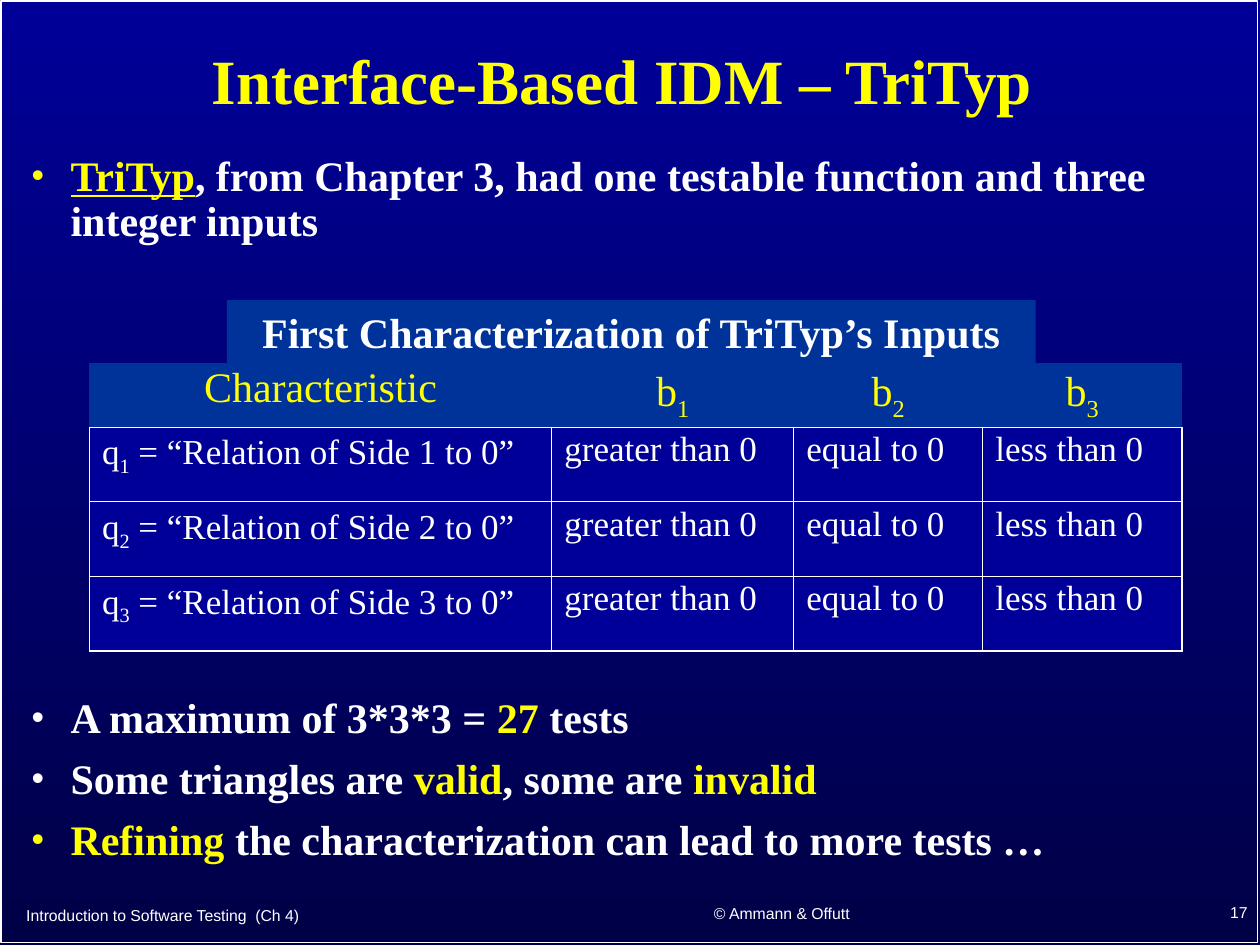
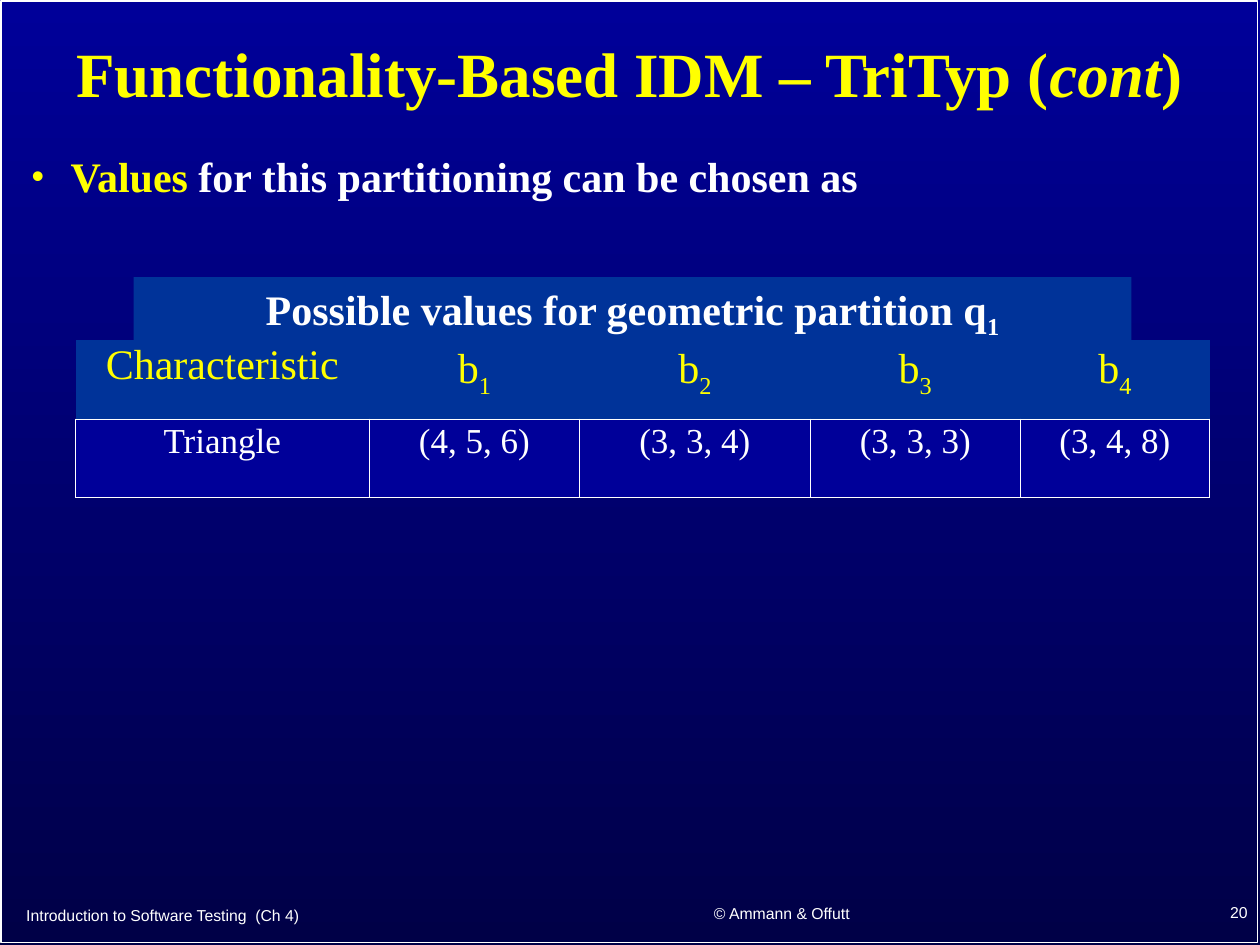
"""Build two lecture slides on input domain modelling for TriTyp."""
from dataclasses import dataclass, replace

from lxml import etree
from pptx import Presentation
from pptx.dml.color import RGBColor
from pptx.enum.shapes import MSO_SHAPE
from pptx.enum.text import MSO_ANCHOR, MSO_AUTO_SIZE, PP_ALIGN
from pptx.oxml.ns import qn
from pptx.util import Emu, Inches, Pt

LEFT, CENTER, RIGHT = PP_ALIGN.LEFT, PP_ALIGN.CENTER, PP_ALIGN.RIGHT
TOP, MIDDLE = MSO_ANCHOR.TOP, MSO_ANCHOR.MIDDLE
FIXED = MSO_AUTO_SIZE.NONE
RECTANGLE = MSO_SHAPE.RECTANGLE
ONE_LIST, TWO_LISTS = 1, 3
COLUMNS = 100
SLIDE_WIDTH, SLIDE_HEIGHT = Inches(10), Inches(7.5)
UNIT = SLIDE_WIDTH / COLUMNS


@dataclass(frozen=True)
class Theme:
    """Colours, fonts and line widths of the deck."""

    white: str = "FFFFFF"
    yellow: str = "FFFF00"
    sky: str = "000099"
    night: str = "000047"
    band: str = "003399"
    serif: str = "Times New Roman"
    sans: str = "Arial"
    title_size: float = 36
    text_size: float = 24
    cell_size: float = 20
    footer_size: float = 9
    frame_line: float = 1
    outer_line: float = 1.08
    inner_line: float = 0.45


THEME = Theme()


@dataclass(frozen=True)
class Box:
    """Place on a grid of 100 columns by 75 rows."""

    left: float
    top: float
    width: float
    height: float

    def emu(self) -> tuple[Emu, ...]:
        """Return the place in slide units."""
        return tuple(map(units, (self.left, self.top, self.width, self.height)))


@dataclass(frozen=True)
class Run:
    """Stretch of text with one look."""

    text: str
    color: str = THEME.white
    underline: bool = False
    italic: bool = False
    lowered: bool = False


@dataclass(frozen=True)
class Style:
    """Look of whole paragraphs."""

    size: float
    font: str = THEME.serif
    bold: bool = False
    align: int = LEFT
    spacing: float = 0.9
    gap: float = 0
    bullet: bool = False


@dataclass(frozen=True)
class Grid:
    """Table with a caption band above it."""

    caption_box: Box
    caption: list[Run]
    left: float
    top: float
    widths: list[float]
    heights: list[float]
    rows: list[list[list[Run]]]
    align: int


@dataclass(frozen=True)
class Page:
    """Content of one slide."""

    number: int
    title_box: Box
    title: list[Run]
    lists: list[tuple[Box, list[list[Run]]]]
    grid: Grid


TITLE = Style(THEME.title_size, bold=True, align=CENTER)
LIST = Style(THEME.text_size, bold=True, gap=9, bullet=True)
CAPTION = Style(THEME.text_size, bold=True, align=CENTER, spacing=1)
HEADER = Style(THEME.text_size, align=CENTER)
CELL = Style(THEME.cell_size)
FOOTER = Style(THEME.footer_size, font=THEME.sans, spacing=1)


def units(cells: float) -> Emu:
    """Convert grid cells to slide units."""
    return Emu(round(cells * UNIT))


def key(text: str, **looks: bool) -> Run:
    """Make a highlighted run."""
    return Run(text, THEME.yellow, **looks)


def indexed(letter: str, index: int, color: str = THEME.white) -> list[Run]:
    """Make a letter with a lowered index."""
    return [Run(letter, color), Run(str(index), color, lowered=True)]


def header(blocks: int) -> list[list[Run]]:
    """Make the heading row for a number of blocks."""
    return [[key("Characteristic")]] + [indexed("b", n + 1, THEME.yellow) for n in range(blocks)]


def add_bullet(p, color: str) -> None:
    """Give a paragraph a coloured round bullet with a hanging indent."""
    pPr = p._p.get_or_add_pPr()
    hang = units(3.1)
    pPr.set("marL", str(hang))
    pPr.set("indent", str(-hang))
    tint = etree.SubElement(pPr, qn("a:buClr"))
    etree.SubElement(tint, qn("a:srgbClr"), val=color)
    etree.SubElement(pPr, qn("a:buSzPct"), val="85000")
    etree.SubElement(pPr, qn("a:buChar"), char="•")


def write(tf, paragraphs: list[list[Run]], style: Style, anchor: int = TOP) -> None:
    """Write paragraphs run by run into a text frame."""
    tf.word_wrap = True
    tf.auto_size = FIXED
    tf.vertical_anchor = anchor
    fill_text(tf, paragraphs, style)


def fill_text(tf, paragraphs: list[list[Run]], style: Style) -> None:
    """Add the formatted runs of every paragraph."""
    for i, runs in enumerate(paragraphs):
        p = tf.add_paragraph() if i else tf.paragraphs[0]
        if style.bullet:
            add_bullet(p, runs[0].color)
        p.alignment = style.align
        p.line_spacing = style.spacing
        p.space_before = Pt(style.gap if i else 0)
        for run in runs:
            r = p.add_run()
            r.text = run.text
            r.font.name = style.font
            r.font.size = Pt(style.size)
            r.font.bold = style.bold
            r.font.italic = run.italic
            r.font.underline = run.underline
            r.font.color.rgb = RGBColor.from_string(run.color)
            if run.lowered:
                r._r.get_or_add_rPr().set("baseline", "-25000")


def place(sp, box: Box) -> None:
    """Move a placeholder to its box."""
    sp.left, sp.top, sp.width, sp.height = box.emu()


def add_backdrop(s) -> None:
    """Paint the graded background and the thin frame."""
    fill = s.background.fill
    fill.gradient()
    fill.gradient_angle = 270
    for stop, color in zip(fill.gradient_stops, (THEME.sky, THEME.night)):
        stop.color.rgb = RGBColor.from_string(color)
    frame = s.shapes.add_shape(RECTANGLE, *Box(0.1, 0.1, 99.7, 74.7).emu())
    frame.shadow.inherit = False
    frame.fill.background()
    frame.line.color.rgb = RGBColor.from_string(THEME.white)
    frame.line.width = Pt(THEME.frame_line)


def add_footers(s, number: int) -> None:
    """Add the course name, the authors and the page number."""
    footers = (
        ("Introduction to Software Testing  (Ch 4)", LEFT, Box(1.1, 70.7, 43.1, 3.8)),
        ("© Ammann & Offutt", CENTER, Box(46.2, 70.5, 31.7, 3.9)),
        (str(number), RIGHT, Box(79.2, 70.4, 20.8, 4)),
    )
    for text, align, box in footers:
        sp = s.shapes.add_textbox(*box.emu())
        write(sp.text_frame, [[Run(text)]], replace(FOOTER, align=align), MIDDLE)


def set_borders(cell, widths: dict[str, float]) -> None:
    """Draw the cell sides that have a width and clear the others."""
    tcPr = cell._tc.get_or_add_tcPr()
    for side in "LRTB":
        width = widths.get(side, 0)
        ln = etree.SubElement(tcPr, qn(f"a:ln{side}"), w=str(Pt(width)))
        if width:
            fill = etree.SubElement(ln, qn("a:solidFill"))
            etree.SubElement(fill, qn("a:srgbClr"), val=THEME.white)
        else:
            etree.SubElement(ln, qn("a:noFill"))


def add_caption(s, grid: Grid) -> None:
    """Add the band with the table's caption."""
    sp = s.shapes.add_shape(RECTANGLE, *grid.caption_box.emu())
    sp.shadow.inherit = False
    sp.fill.solid()
    sp.fill.fore_color.rgb = RGBColor.from_string(THEME.band)
    sp.line.fill.background()
    write(sp.text_frame, [grid.caption], CAPTION)


def add_grid(s, grid: Grid) -> None:
    """Add the table with a plain heading row and ruled cells."""
    box = Box(grid.left, grid.top, sum(grid.widths), sum(grid.heights))
    last_row, last_col = len(grid.heights) - 1, len(grid.widths) - 1
    table = s.shapes.add_table(last_row + 1, last_col + 1, *box.emu()).table
    table.first_row = table.horz_banding = False
    for column, width in zip(table.columns, grid.widths):
        column.width = units(width)
    for row, height in zip(table.rows, grid.heights):
        row.height = units(height)
    inner, outer = THEME.inner_line, THEME.outer_line
    for i, texts in enumerate(grid.rows):
        for j, runs in enumerate(texts):
            cell = table.cell(i, j)
            borders = {"B": inner} if i == 0 else {
                "L": inner if j else outer,
                "R": outer if j == last_col else inner,
                "T": inner,
                "B": outer if i == last_row else inner,
            }
            set_borders(cell, borders)
            cell.fill.solid()
            cell.fill.fore_color.rgb = RGBColor.from_string(THEME.sky if i else THEME.band)
            style = replace(CELL, align=grid.align) if i else HEADER
            fill_text(cell.text_frame, [runs], style)


def add_page(prs, page: Page) -> None:
    """Build one slide from its content."""
    layout = ONE_LIST if len(page.lists) == 1 else TWO_LISTS - 0
    s = prs.slides.add_slide(prs.slide_layouts[layout])
    add_backdrop(s)
    place(s.shapes.title, page.title_box)
    write(s.shapes.title.text_frame, [page.title], TITLE, MIDDLE)
    bodies = [sp for sp in s.placeholders if sp.placeholder_format.idx]
    for sp, (box, items) in zip(bodies, page.lists):
        place(sp, box)
        write(sp.text_frame, items, LIST)
    add_caption(s, page.grid)
    add_grid(s, page.grid)
    add_footers(s, page.number)


INTERFACE = Page(
    17, Box(7.5, 1.1, 85, 11.1), [key("Interface-Based IDM – TriTyp ")],
    [
        (Box(1.5, 11.8, 97, 9.3), [
            [key("TriTyp", underline=True),
             Run(", from Chapter 3, had one testable function and three integer inputs")],
        ]),
        (Box(1.5, 54.8, 97, 14.8), [
            [Run("A maximum of 3*3*3 = "), key("27"), Run(" tests")],
            [Run("Some triangles are "), key("valid"), Run(", some are "), key("invalid")],
            [key("Refining"), Run(" the characterization can lead to more tests …")],
        ]),
    ],
    Grid(
        Box(18, 23.8, 64.2, 5), [Run("First Characterization of TriTyp’s Inputs")],
        7.1, 28.8, [36.7, 19.2, 15, 15.8], [5.1] + [5.93] * 3,
        [header(3)] + [
            [indexed("q", n) + [Run(f" = “Relation of Side {n} to 0”")],
             [Run("greater than 0")], [Run("equal to 0")], [Run("less than 0")]]
            for n in (1, 2, 3)
        ],
        LEFT,
    ),
)

FUNCTIONALITY = Page(
    20, Box(1.5, 1.1, 96.9, 10),
    [key("Functionality-Based IDM – TriTyp ("), key("cont", italic=True), key(")")],
    [(Box(1.5, 11.9, 97, 9.8), [[key("Values"), Run(" for this partitioning can be chosen as")]])],
    Grid(
        Box(10.6, 22, 79.2, 5.6),
        [Run("Possible values for geometric partition q"), Run("1", lowered=True)],
        6, 27, [23.3, 16.7, 18.3, 16.7, 15], [6.25, 6.25],
        [header(4), [[Run(text)] for text in (
            "Triangle", "(4, 5, 6)", "(3, 3, 4)", "(3, 3, 3)", "(3, 4, 8)")]],
        CENTER,
    ),
)


def main() -> None:
    """Build the deck and save it."""
    prs = Presentation()
    prs.slide_width, prs.slide_height = SLIDE_WIDTH, SLIDE_HEIGHT
    for page in (INTERFACE, FUNCTIONALITY):
        add_page(prs, page)
    prs.save("out.pptx")


if __name__ == "__main__":
    main()
